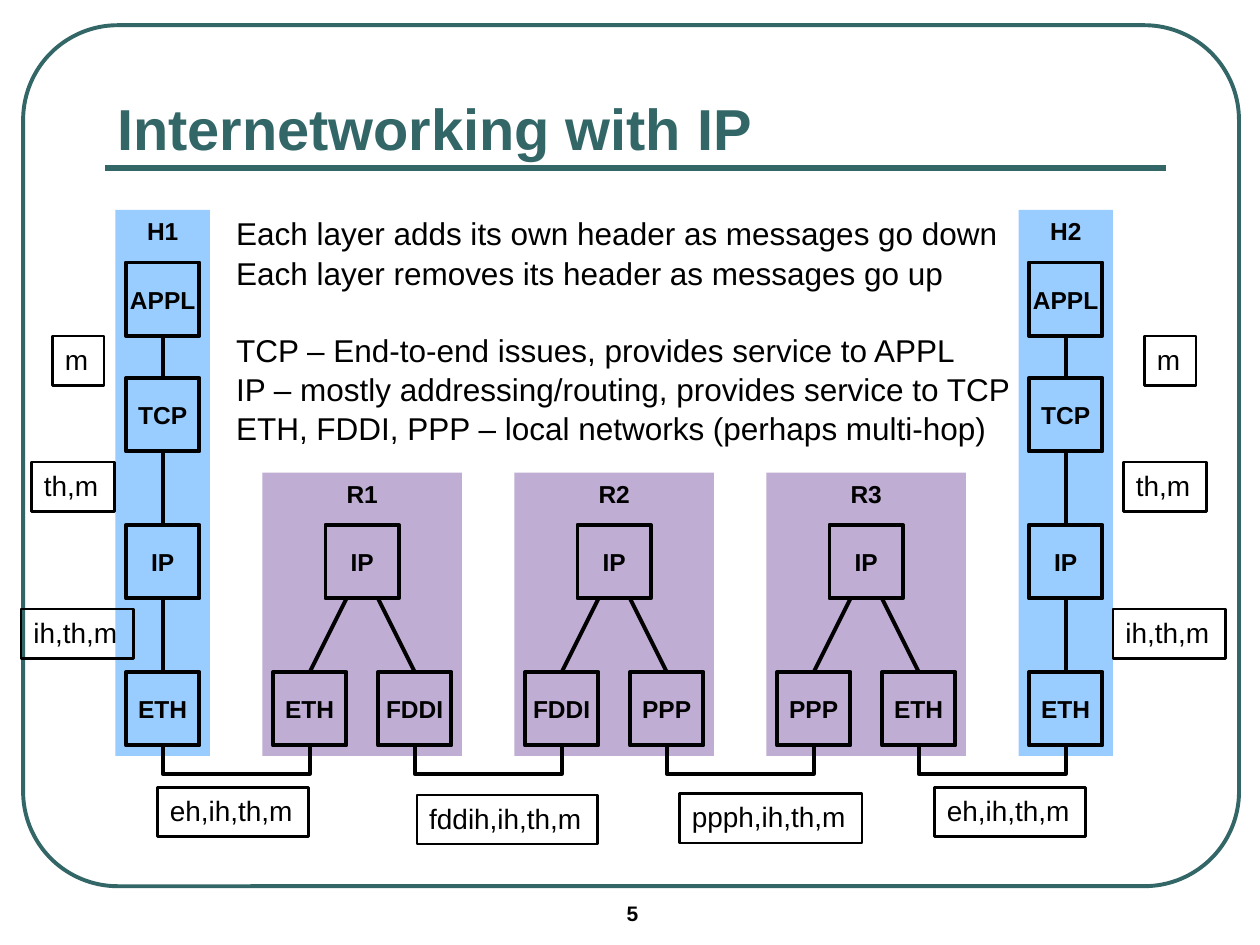
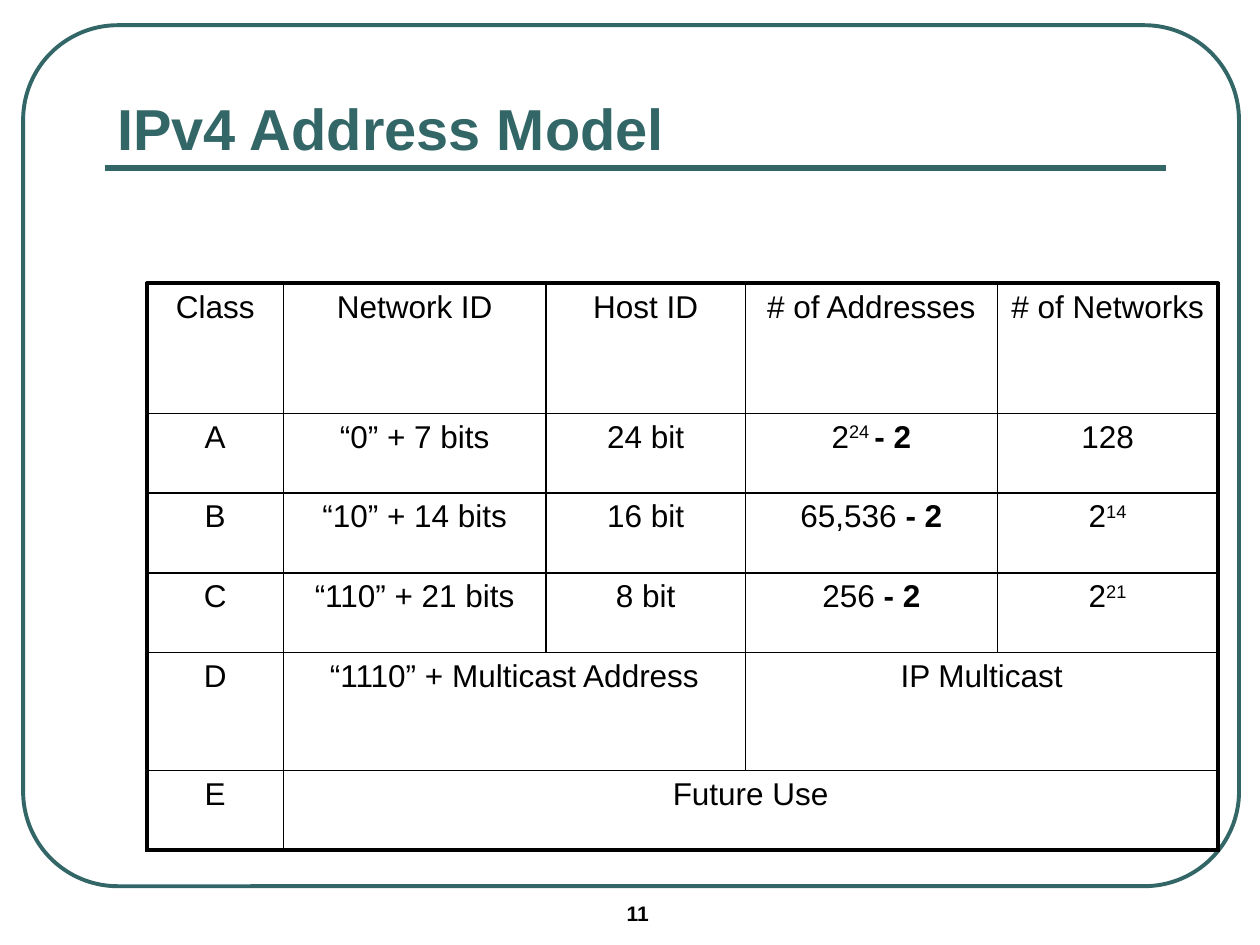
"""Build two slides on internetworking: a protocol-stack diagram and an address-class table."""
from lxml.etree import SubElement
from pptx import Presentation
from pptx.dml.color import RGBColor
from pptx.enum.shapes import MSO_CONNECTOR, MSO_SHAPE
from pptx.enum.text import MSO_ANCHOR, PP_ALIGN
from pptx.oxml.ns import qn
from pptx.util import Inches, Pt

COLORS = {"teal": "336666", "ink": "000000", "host": "99CCFF", "router": "BFADD3", "paper": "FFFFFF"}
FONT = "Arial"
BOTTOM, TOP = 2, 0

deck = Presentation()
deck.slide_width, deck.slide_height = Inches(10), Inches(7.5)
UNIT = deck.slide_width / 120


def put(page, place, lines=(), size=14, bold=True, color="ink", fill=None, line=None, weight=2.25,
        align=PP_ALIGN.CENTER, anchor=MSO_ANCHOR.TOP, wrap=False, shape=MSO_SHAPE.RECTANGLE):
    """Place a box in grid units; shape None makes a plain text box."""
    place = [round(part * UNIT) for part in place]
    if shape is None:
        box = page.shapes.add_textbox(*place)
    else:
        box = page.shapes.add_shape(shape, *place)
        box.shadow.inherit = False
        if fill:
            box.fill.solid()
            box.fill.fore_color.rgb = RGBColor.from_string(COLORS[fill])
        else:
            box.fill.background()
        if line:
            box.line.color.rgb = RGBColor.from_string(COLORS[line])
            box.line.width = Pt(weight)
        else:
            box.line.fill.background()
    frame = box.text_frame
    frame.word_wrap = wrap
    frame.vertical_anchor = anchor
    for index, words in enumerate(lines):
        para = frame.paragraphs[0] if index == 0 else frame.add_paragraph()
        para.alignment = align
        span = para.add_run()
        span.text = words
        span.font.name, span.font.size, span.font.bold = FONT, Pt(size), bold
        span.font.color.rgb = RGBColor.from_string(COLORS[color])
    return box


def link(page, start, end, color="ink", weight=2.25, kind=MSO_CONNECTOR.STRAIGHT):
    """Draw a connector between two grid points, or (box, side) pairs."""
    joined = [hasattr(tip[0], "shape_id") for tip in (start, end)]
    points = [0 if is_box else round(part * UNIT)
              for tip, is_box in zip((start, end), joined) for part in tip]
    wire = page.shapes.add_connector(kind, *points)
    if joined[0]:
        wire.begin_connect(*start)
    if joined[1]:
        wire.end_connect(*end)
    wire.line.color.rgb = RGBColor.from_string(COLORS[color])
    wire.line.width = Pt(weight)
    SubElement(wire.element.spPr, qn("a:effectLst"))
    return wire


pages = []
for title, number in (("Internetworking with IP", "5"), ("IPv4 Address Model", "11")):
    page = deck.slides.add_slide(deck.slide_layouts[6])
    border = put(page, (2.2, 2.4, 115.8, 82), line="teal", shape=MSO_SHAPE.ROUNDED_RECTANGLE)
    border.adjustments[0] = 0.11
    link(page, (10, 16), (111, 16), "teal", 3)
    put(page, (58.5, 85.2, 14, 4), [number], 12, align=PP_ALIGN.LEFT, wrap=True, shape=None)
    put(page, (10, 7, 101, 9), [title], 33, color="teal", align=PP_ALIGN.LEFT,
        anchor=MSO_ANCHOR.BOTTOM, wrap=True, shape=None)
    pages.append(page)
stack_page, class_page = pages

SIDE = 7
LAYER_ROWS = {"APPL": 25, "TCP": 36, "IP": 50, "ETH": 64}
node_style = {"line": "ink", "anchor": MSO_ANCHOR.MIDDLE}
host_ends = []
for host, left in (("H1", 11), ("H2", 97)):
    put(stack_page, (left, 20, 9, 52), [host], fill="host")
    layers = [put(stack_page, (left + 1, row, SIDE, SIDE), [name], **node_style)
              for name, row in LAYER_ROWS.items()]
    for upper, lower in zip(layers, layers[1:]):
        link(stack_page, (upper, BOTTOM), (lower, TOP))
    host_ends.append(layers[-1])

ports = [host_ends[0]]
for index, networks in enumerate((("ETH", "FDDI"), ("FDDI", "PPP"), ("PPP", "ETH"))):
    left = 25 + 24 * index
    put(stack_page, (left, 45, 19, 27), [f"R{index + 1}"], fill="router")
    put(stack_page, (left + 6, LAYER_ROWS["IP"], SIDE, SIDE), ["IP"], **node_style)
    for network, port_left, branch in zip(networks, (left + 1, left + 11), (left + 8, left + 11)):
        port = put(stack_page, (port_left, LAYER_ROWS["ETH"], SIDE, SIDE), [network], **node_style)
        link(stack_page, (branch, LAYER_ROWS["IP"] + SIDE), (port, TOP))
        ports.append(port)
ports.append(host_ends[1])

DEPTH, SLIVER = round(3 * UNIT), 1588
for sender, receiver in zip(ports[::2], ports[1::2]):
    wire = link(stack_page, (sender, BOTTOM), (receiver, BOTTOM), kind=MSO_CONNECTOR.ELBOW)
    length = receiver.left - sender.left
    middle = sender.left + (sender.width + length) // 2
    wire.left, wire.top = middle - SLIVER // 2, sender.top + sender.height - length // 2
    wire.width, wire.height = SLIVER, length
    turn = wire.element.spPr.find(qn("a:xfrm"))
    turn.set("rot", "16200000")
    turn.set("flipH", "1")
    guides = wire.element.spPr.find(qn("a:prstGeom")).find(qn("a:avLst"))
    SubElement(guides, qn("a:gd"), name="adj1", fmla=f"val {round(DEPTH / SLIVER * 100000)}")

headers = [(left + shift, top, width, words)
           for shift in (0, 104)
           for left, top, width, words in ((5, 32, 4.9, "m"), (3, 44, 7.9, "th,m"), (2, 58, 10.7, "ih,th,m"))]
headers += [(15, 75, 14.4, "eh,ih,th,m"), (39.7, 75.7, 17.2, "fddih,ih,th,m"),
            (64.7, 75.6, 17.4, "ppph,ih,th,m"), (89, 75, 14.4, "eh,ih,th,m")]
for left, top, width, words in headers:
    put(stack_page, (left, top, width, 4.7), [words], 16, False, line="ink", weight=1.5, align=PP_ALIGN.LEFT)

notes = put(stack_page, (21.3, 19.7, 76.9, 26.6), [
    "Each layer adds its own header as messages go down",
    "Each layer removes its header as messages go up",
    "TCP – End-to-end issues, provides service to APPL",
    "IP – mostly addressing/routing, provides service to TCP",
    "ETH, FDDI, PPP – local networks (perhaps multi-hop)",
], 18, False, align=PP_ALIGN.LEFT, shape=None)
for para in notes.text_frame.paragraphs:
    para.line_spacing = 1.04
notes.text_frame.paragraphs[2].space_before = Pt(21.6)

TABLE_PLACE = (14, 27, 102, 54)
COLUMNS = (13, 25, 19, 24, 21)
ROWS = (12.36, 7.6, 7.6, 7.6, 11.24, 7.6)
LESS_TWO = ("- 2", "bold")
CLASSES = [
    ["Class", "Network ID", "Host ID", "# of Addresses", "# of Networks"],
    ["A", "“0” + 7 bits", "24 bit", ["2", ("24 ", "raised"), LESS_TWO], "128"],
    ["B", "“10” + 14 bits", "16 bit", ["65,536 ", LESS_TWO], ["2", ("14", "raised")]],
    ["C", "“110” + 21 bits", "8 bit", ["256 ", LESS_TWO], ["2", ("21", "raised")]],
    ["D", "“1110” + Multicast Address", None, "IP Multicast", None],
    ["E", "Future Use", None, None, None],
]
put(class_page, TABLE_PLACE, fill="paper", line="ink")
table = class_page.shapes.add_table(len(ROWS), len(COLUMNS), *[round(part * UNIT) for part in TABLE_PLACE]).table
table.first_row = table.horz_banding = False
for column, width in zip(table.columns, COLUMNS):
    column.width = round(width * UNIT)
for row, height in zip(table.rows, ROWS):
    row.height = round(height * UNIT)
for row, first, last in ((4, 1, 2), (4, 3, 4), (5, 1, 4)):
    table.cell(row, first).merge(table.cell(row, last))

for row, entries in enumerate(CLASSES):
    for column, entry in enumerate(entries):
        cell = table.cell(row, column)
        reach = column + (cell.span_width if cell.is_merge_origin else 1)
        outer = {"lnL": column == 0, "lnR": reach == len(COLUMNS), "lnT": row == 0, "lnB": row == len(ROWS) - 1}
        properties = cell._tc.get_or_add_tcPr()
        for edge, is_outer in outer.items():
            rule = SubElement(properties, qn(f"a:{edge}"), w=str(Pt(2.25 if is_outer else 1)))
            SubElement(SubElement(rule, qn("a:solidFill")), qn("a:srgbClr"), val=COLORS["ink"])
        cell.fill.background()
        if entry is None:
            continue
        para = cell.text_frame.paragraphs[0]
        para.alignment = PP_ALIGN.CENTER
        for piece in [entry] if isinstance(entry, str) else entry:
            words, style = (piece, "plain") if isinstance(piece, str) else piece
            span = para.add_run()
            span.text = words
            span.font.name, span.font.size, span.font.bold = FONT, Pt(18), style == "bold"
            span.font.color.rgb = RGBColor.from_string(COLORS["ink"])
            if style == "raised":
                span._r.get_or_add_rPr().set("baseline", "30000")

deck.save("out.pptx")
